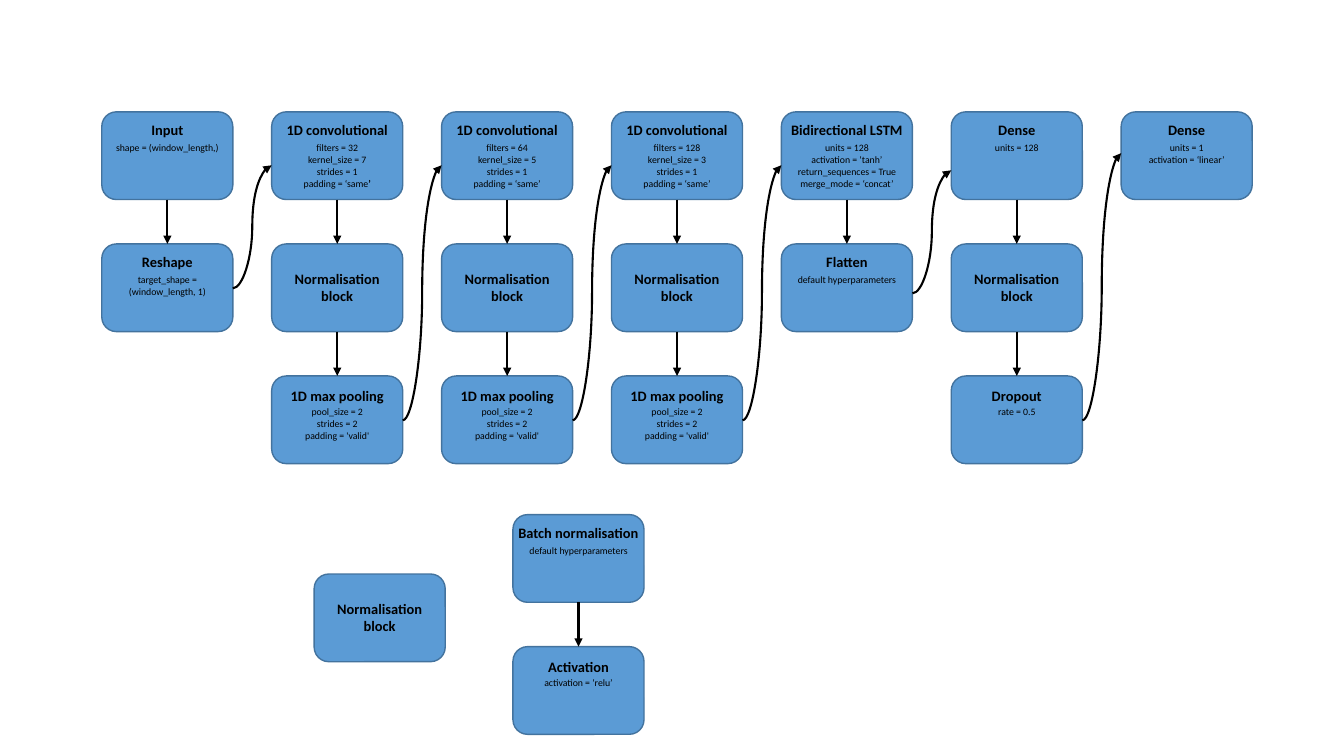
from lxml import etree
from pptx import Presentation
from pptx.dml.color import RGBColor
from pptx.enum.shapes import MSO_CONNECTOR, MSO_SHAPE
from pptx.enum.text import PP_ALIGN
from pptx.oxml.ns import qn
from pptx.util import Inches, Pt

ROUND = MSO_SHAPE.ROUNDED_RECTANGLE
STRAIGHT, CURVE = MSO_CONNECTOR.STRAIGHT, MSO_CONNECTOR.CURVE
CENTER = PP_ALIGN.CENTER
BLUE = RGBColor(0x5B, 0x9B, 0xD5)
EDGE = RGBColor(0x43, 0x73, 0x9E)
BLACK = RGBColor(0, 0, 0)
FONT = "Calibri"
LEFT, TOP = 1.01, 1.11
STEP_X, STEP_Y = (11.12 - LEFT) / 6, 1.31
WIDE, HIGH = 1.3, 0.87
HEAD_WIDE = 1.41
BOTTOM_SITE, TOP_SITE = 2, 0

NORM = ("Normalisation block", [])
POOL = ("1D max pooling", ["pool_size = 2", "strides = 2", "padding = 'valid'"])


def conv(count, kernel, end="’"):
    """Return the label of a convolutional layer."""
    return ("1D convolutional", [f"filters = {count}", f"kernel_size = {kernel}",
                                 "strides = 1", f"padding = ‘same{end}"])


STACKS = [
    [("Input", ["shape = (window_length,)"]),
     ("Reshape", ["target_shape = (window_length, 1)"])],
    [conv(32, 7, "*’*"), NORM, POOL],
    [conv(64, 5), NORM, POOL],
    [conv(128, 3), NORM, POOL],
    [("Bidirectional LSTM", ["units = 128", "activation = ‘tanh’",
                             "return_sequences = True", "merge_mode = ‘concat’"]),
     ("Flatten", ["default hyperparameters"])],
    [("Dense", ["units = 128"]), NORM, ("Dropout", ["rate = 0.5"])],
    [("Dense", ["units = 1", "activation = ‘linear’"])],
]
EXITS = [0.44, 0.44, 0.44, 0.44, 0.49, 0.44]
ENTRIES = [0.53, 0.53, 0.53, 0.53, 0.58, 0.41]
DETAIL = [("Batch normalisation", ["default hyperparameters"]),
          ("Activation", ["activation = ‘relu’"])]


def place(col, row):
    """Return the top left corner of a grid cell in inches."""
    return LEFT + col * STEP_X, TOP + row * STEP_Y


def add_text(slide, x, y, wide, high, lines, size, bold=False, inset=0.1):
    """Add centred lines, with parts between stars in bold."""
    box = slide.shapes.add_textbox(*map(Inches, (x, y, wide, high)))
    frame = box.text_frame
    frame.word_wrap = True
    frame.margin_left = frame.margin_right = Inches(inset)
    for i, line in enumerate(lines):
        para = frame.paragraphs[0] if i == 0 else frame.add_paragraph()
        para.alignment = CENTER
        for j, part in enumerate(line.split("*")):
            if part:
                run = para.add_run()
                run.text = part
                run.font.name = FONT
                run.font.size = Pt(size)
                run.font.bold = bold or j % 2 == 1
                run.font.color.rgb = BLACK


def add_block(slide, col, row, label):
    """Add a layer block with its name and settings."""
    name, lines = label
    x, y = place(col, row)
    block = slide.shapes.add_shape(ROUND, *map(Inches, (x, y, WIDE, HIGH)))
    block.shadow.inherit = False
    block.fill.solid()
    block.fill.fore_color.rgb = BLUE
    block.line.color.rgb = EDGE
    block.line.width = Pt(1)
    if lines:
        drop = 0.06 if row in (2, 4.05) else 0.04
        add_text(slide, x + (WIDE - HEAD_WIDE) / 2, y + drop, HEAD_WIDE, 0.27,
                 [name], 10.3, bold=True, inset=0)
        add_text(slide, x, y + 0.25, WIDE, 0.1 + 0.12 * len(lines), lines, 7)
    else:
        add_text(slide, x, y + 0.21, WIDE, 0.45, [name], 10.3, bold=True)
    return block


def add_arrow(slide, kind, start, end):
    """Add a black arrow between two points in inches."""
    arrow = slide.shapes.add_connector(kind, *map(Inches, (*start, *end)))
    arrow.line.color.rgb = BLACK
    arrow.line.width = Pt(1.5)
    props = arrow.element.spPr
    tip = etree.SubElement(props.find(qn("a:ln")), qn("a:tailEnd"))
    tip.set("type", "triangle")
    etree.SubElement(props, qn("a:effectLst"))
    return arrow


def add_stack(slide, col, row, labels):
    """Add a column of blocks joined from top to bottom."""
    blocks = [add_block(slide, col, row + i, label)
              for i, label in enumerate(labels)]
    for upper, lower in zip(blocks, blocks[1:]):
        arrow = add_arrow(slide, STRAIGHT, (0, 0), (1, 1))
        arrow.begin_connect(upper, BOTTOM_SITE)
        arrow.end_connect(lower, TOP_SITE)


def main():
    """Build the network diagram slide."""
    deck = Presentation()
    deck.slide_width, deck.slide_height = Inches(13.33), Inches(7.5)
    slide = deck.slides.add_slide(deck.slide_layouts[6])
    for col, labels in enumerate(STACKS):
        add_stack(slide, col, 0, labels)
    for col, (leave, enter) in enumerate(zip(EXITS, ENTRIES)):
        x, y = place(col, len(STACKS[col]) - 1)
        next_x, next_y = place(col + 1, 0)
        add_arrow(slide, CURVE, (x + WIDE, y + leave), (next_x, next_y + enter))
    add_block(slide, 1.25, 3.5, NORM)
    add_stack(slide, 2.42, 3.05, DETAIL)
    deck.save("out.pptx")


main()
